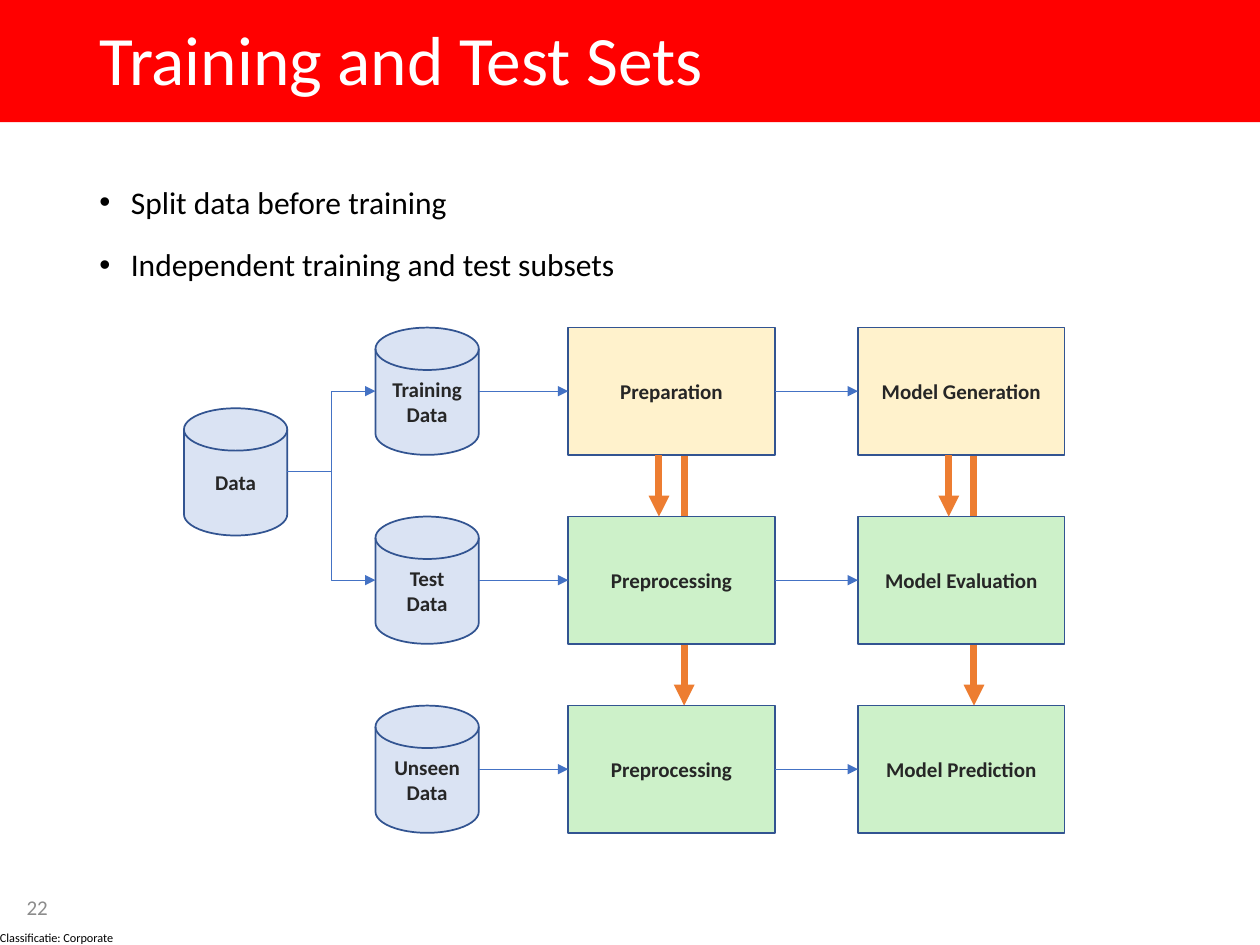
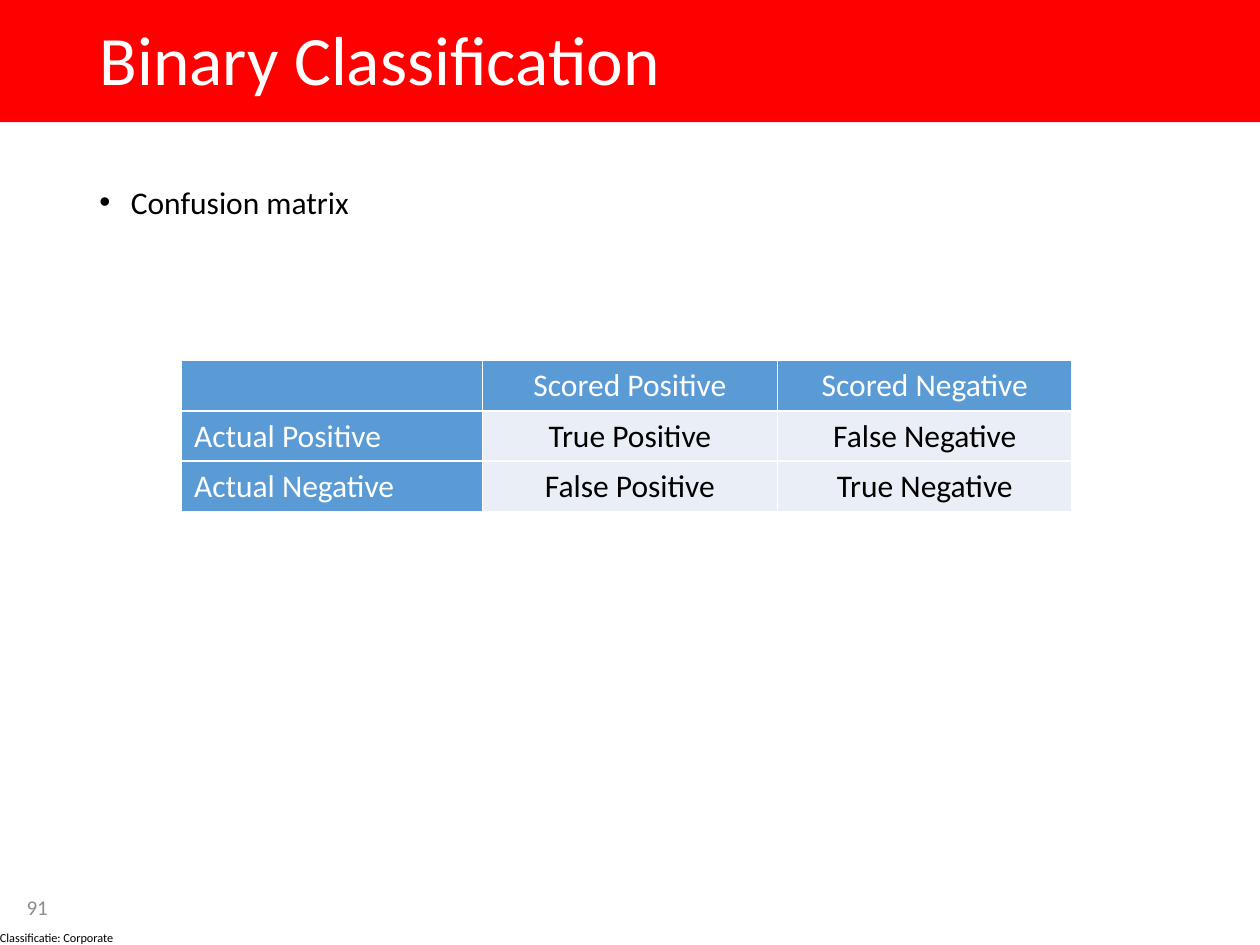
"""Build two slides on training and test sets and on binary classification."""
from lxml.etree import SubElement
from pptx import Presentation
from pptx.dml.color import RGBColor
from pptx.enum.shapes import MSO_CONNECTOR as Connector, MSO_SHAPE as Shape
from pptx.enum.text import MSO_ANCHOR as Anchor, MSO_AUTO_SIZE as AutoSize, PP_ALIGN as Align
from pptx.oxml.ns import qn
from pptx.util import Inches, Pt

colour = RGBColor.from_string
RED, WHITE, BLACK, GREY, DARK = "FF0000", "FFFFFF", "000000", "8C8C8C", "262626"
PALE_BLUE, CREAM, GREEN, OUTLINE = "DAE3F3", "FFF2CC", "CDF1C9", "325491"
BLUE, ORANGE, HEADING, CELL = "4472C4", "ED7D31", "5B9BD5", "EAEFF7"
MARGIN, CONTENT_WIDTH = 0.69, 8.62


def write(frame, lines, size, ink, frame_format=None, paragraph_format=None, bold=False, bullet=False):
    for name, value in {"word_wrap": True, **(frame_format or {})}.items():
        setattr(frame, name, value)
    for index, line in enumerate(lines):
        paragraph = frame.add_paragraph() if index else frame.paragraphs[0]
        if bullet:
            properties = paragraph._p.get_or_add_pPr()
            properties.set("marL", str(Inches(0.25)))
            properties.set("indent", str(-Inches(0.25)))
            SubElement(properties, qn("a:buFont"), typeface="Arial")
            SubElement(properties, qn("a:buChar"), char="•")
            paragraph.space_before = Pt(10 if index else 0)
        for name, value in (paragraph_format or {}).items():
            setattr(paragraph, name, value)
        run = paragraph.add_run()
        run.text = line
        for name, value in {"name": "Calibri", "size": Pt(size), "bold": bold}.items():
            setattr(run.font, name, value)
        run.font.color.rgb = colour(ink)


def connect(slide, start, end, ink, width, kind=Connector.STRAIGHT):
    connector = slide.shapes.add_connector(kind, *map(Inches, start + end))
    connector.line.color.rgb = colour(ink)
    connector.line.width = Pt(width)
    SubElement(connector.line._get_or_add_ln(), qn("a:tailEnd"), type="triangle")
    SubElement(connector._element.spPr, qn("a:effectLst"))


presentation = Presentation()
presentation.slide_width, presentation.slide_height = Inches(10), Inches(7.5)
layout = presentation.slide_layouts[5]
for placeholder in list(layout.placeholders)[1:]:
    placeholder._element.getparent().remove(placeholder._element)

pages = [
    ("Training and Test Sets", "22", ["Split data before training", "Independent training and test subsets"]),
    ("Binary Classification", "91", ["Confusion matrix"]),
]
slides = [presentation.slides.add_slide(layout) for page in pages]

band = slides[0].shapes.add_shape(Shape.RECTANGLE, 0, 0, presentation.slide_width, Inches(0.97))
band.shadow.inherit = False
band.fill.solid()
band.fill.fore_color.rgb = colour(RED)
band.line.fill.background()
label = slides[0].shapes.add_textbox(0, Inches(7.38), Inches(0.94), Inches(0.12))
no_margins = dict.fromkeys(["margin_left", "margin_top", "margin_right", "margin_bottom"], 0)
write(label.text_frame, ["Classificatie: Corporate"], 7, BLACK, {**no_margins, "word_wrap": False})
for shared in (band, label):
    layout.shapes._spTree.append(shared._element)

for slide, (heading, number, points) in zip(slides, pages):
    title = slide.shapes.title
    place = {"left": MARGIN, "top": 0.13, "width": CONTENT_WIDTH, "height": 0.74}
    for name, value in place.items():
        setattr(title, name, Inches(value))
    write(title.text_frame, [heading], 39.6, WHITE,
          {"vertical_anchor": Anchor.MIDDLE, "auto_size": AutoSize.NONE},
          {"alignment": Align.LEFT, "line_spacing": 0.9})
    body = slide.shapes.add_textbox(*map(Inches, (MARGIN, 1.34, CONTENT_WIDTH, 5.41)))
    write(body.text_frame, points, 18, BLACK, paragraph_format={"line_spacing": 1.2}, bullet=True)
    page_number = slide.shapes.add_textbox(0, Inches(7.05), Inches(0.59), Inches(0.3))
    write(page_number.text_frame, [number], 12, GREY,
          {"vertical_anchor": Anchor.BOTTOM}, {"alignment": Align.CENTER})

flow, matrix = slides
DISK_WIDTH, BOX_WIDTH, HEIGHT = 0.82, 1.64, 1.01
SOURCE, DISKS, STEPS, MODELS = 1.46, 2.98, 4.51, 6.81
rows = [2.6 + 1.5 * row for row in range(3)]
middles = [top + HEIGHT / 2 for top in rows]
source_top = 3.24

box_centres = [left + BOX_WIDTH / 2 for left in (STEPS, MODELS)]
for centre in box_centres:
    connect(flow, (centre + 0.1, rows[0] + HEIGHT), (centre + 0.1, rows[2]), ORANGE, 4)

nodes = [(SOURCE, source_top, ["Data"], PALE_BLUE)]
stages = [
    (["Training", "Data"], "Preparation", "Model Generation", CREAM),
    (["Test Data"], "Preprocessing", "Model Evaluation", GREEN),
    (["Unseen Data"], "Preprocessing", "Model Prediction", GREEN),
]
for top, (data, step, model, fill) in zip(rows, stages):
    nodes += [(DISKS, top, data, PALE_BLUE), (STEPS, top, [step], fill), (MODELS, top, [model], fill)]
for left, top, lines, fill in nodes:
    is_disk = left < STEPS
    kind = Shape.FLOWCHART_MAGNETIC_DISK if is_disk else Shape.RECTANGLE
    width = DISK_WIDTH if is_disk else BOX_WIDTH
    node = flow.shapes.add_shape(kind, *map(Inches, (left, top, width, HEIGHT)))
    node.shadow.inherit = False
    node.fill.solid()
    node.fill.fore_color.rgb = colour(fill)
    node.line.color.rgb = colour(OUTLINE)
    node.line.width = Pt(1)
    write(node.text_frame, lines, 12, DARK, {"vertical_anchor": Anchor.MIDDLE},
          {"alignment": Align.CENTER}, bold=True)

for middle in middles:
    connect(flow, (DISKS + DISK_WIDTH, middle), (STEPS, middle), BLUE, 0.5)
    connect(flow, (STEPS + BOX_WIDTH, middle), (MODELS, middle), BLUE, 0.5)
for middle in middles[:2]:
    connect(flow, (SOURCE + DISK_WIDTH, source_top + HEIGHT / 2), (DISKS, middle), BLUE, 0.5, Connector.ELBOW)
for centre in box_centres:
    connect(flow, (centre - 0.1, rows[0] + HEIGHT), (centre - 0.1, rows[1]), ORANGE, 4)

outcomes = [
    ["", "Scored Positive", "Scored Negative"],
    ["Actual Positive", "True Positive", "False Negative"],
    ["Actual Negative", "False Positive", "True Negative"],
]
table = matrix.shapes.add_table(3, 3, *map(Inches, (1.44, 2.86, 7.07, 1.2))).table
table.horz_banding = False
for column, width in zip(table.columns, (2.39, 2.34, 2.34)):
    column.width = Inches(width)
for row, texts in enumerate(outcomes):
    for column, text in enumerate(texts):
        cell = table.cell(row, column)
        is_heading = row == 0 or column == 0
        cell.fill.solid()
        cell.fill.fore_color.rgb = colour(HEADING if is_heading else CELL)
        cell.vertical_anchor = Anchor.MIDDLE
        if text:
            write(cell.text_frame, [text], 18, WHITE if is_heading else BLACK,
                  paragraph_format={"alignment": Align.CENTER if column else Align.LEFT})

presentation.save("out.pptx")
